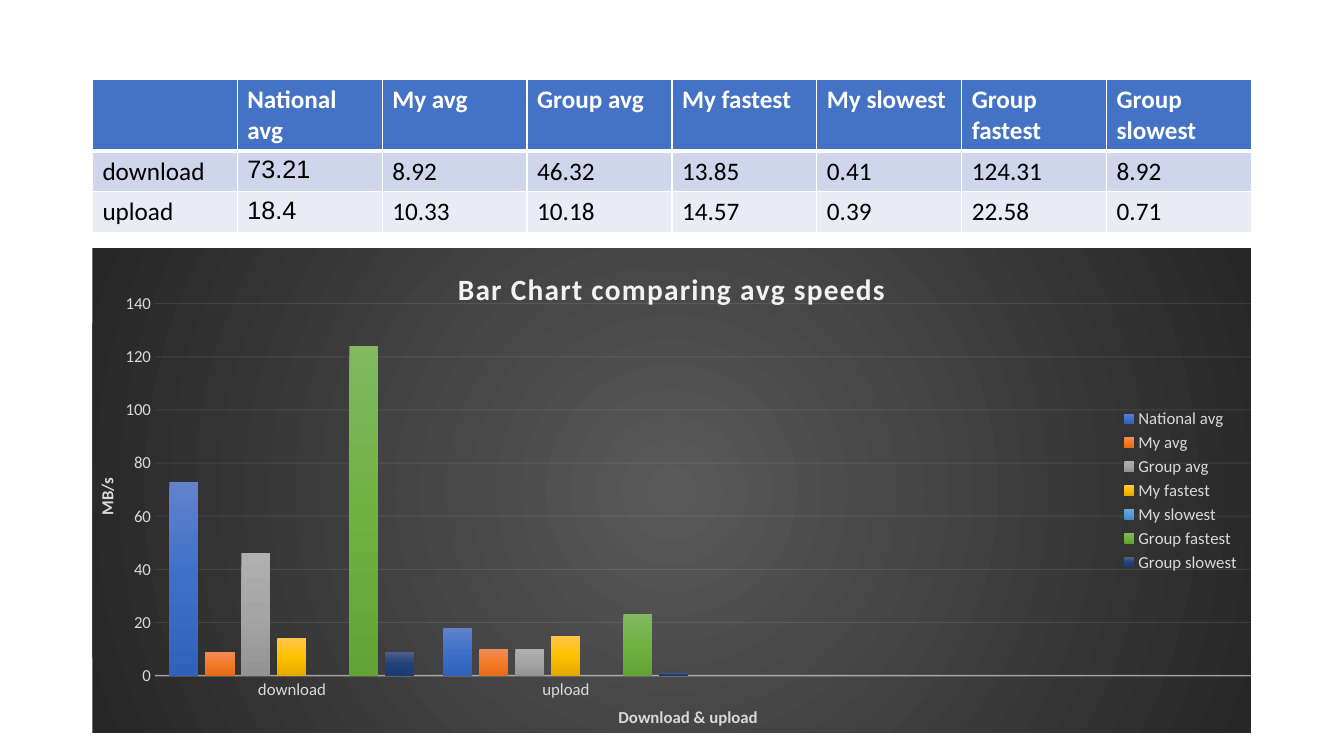
from lxml.etree import SubElement as Sub
from pptx import Presentation
from pptx.chart.data import CategoryChartData as Data
from pptx.dml.color import RGBColor
from pptx.enum.chart import XL_CHART_TYPE as Kind, XL_LEGEND_POSITION as Place, XL_TICK_MARK as Tick
from pptx.oxml import parse_xml
from pptx.oxml.ns import nsdecls, qn
from pptx.util import Cm, Pt


def paint(font, size, tint, bold=False, face="Calibri"):
    font.name, font.size, font.bold = face, Pt(size), bold
    font.color.rgb = RGBColor.from_string(tint)


def blend(stops, end):
    marks = "".join(
        f'<a:gs pos="{100000 * i // (len(stops) - 1)}"><a:srgbClr val="{tint}"/></a:gs>'
        for i, tint in enumerate(stops))
    return parse_xml(f'<a:gradFill {nsdecls("a")} rotWithShape="1"><a:gsLst>{marks}</a:gsLst>{end}</a:gradFill>')


heads = ["National avg", "My avg", "Group avg", "My fastest", "My slowest", "Group fastest", "Group slowest"]
speeds = {
    "download": [73.21, 8.92, 46.32, 13.85, 0.41, 124.31, 8.92],
    "upload": [18.4, 10.33, 10.18, 14.57, 0.39, 22.58, 0.71],
}
hues = [
    ("6183CB", "3E70CA", "3062BB"),
    ("F18C57", "F67B28", "E56C19"),
    ("AFAFAF", "A5A5A5", "939393"),
    ("FFC64B", "FFC000", "E3AB00"),
    ("71A6DB", "559BDB", "448ACA"),
    ("81B861", "6FB242", "62A336"),
    ("516089", "22427D", "1A3A72"),
]

deck = Presentation()
deck.slide_width, deck.slide_height = Cm(33.87), Cm(19.05)
slide = deck.slides.add_slide(deck.slide_layouts[6])
left, width = Cm(2.33), Cm(29.21)

rows = [["", *heads]] + [[name, *map(str, vals)] for name, vals in speeds.items()]
table = slide.shapes.add_table(3, 8, left, Cm(2), width, Cm(3.81)).table
fills = ["4472C4", "CFD5EA", "E9EBF5"]
for r, row in enumerate(rows):
    table.rows[r].height = Cm(1.03 if r else 1.75)
    for c, text in enumerate(row):
        cell = table.cell(r, c)
        props = cell._tc.get_or_add_tcPr()
        for side in "LRTB":
            thick = (r, side) in ((0, "B"), (1, "T"))
            edge = Sub(props, qn(f"a:ln{side}"), w=str(Pt(3 if thick else 1)))
            Sub(Sub(edge, qn("a:solidFill")), qn("a:srgbClr"), val="FFFFFF")
        cell.fill.solid()
        cell.fill.fore_color.rgb = RGBColor.from_string(fills[r])
        if text:
            run = cell.text_frame.paragraphs[0].add_run()
            run.text = text
            face = "Arial" if r and c == 1 else "Calibri"
            paint(run.font, 18, "000000" if r else "FFFFFF", not r, face)

data = Data()
data.categories = [*speeds, "", ""]
for name, down, up in zip(heads, *speeds.values()):
    data.add_series(name, [round(down), round(up), None, None])
chart = slide.shapes.add_chart(Kind.COLUMN_CLUSTERED, left, Cm(6.25), width, Cm(12.22), data).chart
paint(chart.font, 12, "D9D9D9")

back = parse_xml(f'<c:spPr {nsdecls("c", "a")}><a:ln><a:noFill/></a:ln></c:spPr>')
back.insert(0, blend(
    ("595959", "262626"),
    '<a:path path="circle"><a:fillToRect l="50000" t="50000" r="50000" b="50000"/></a:path>'))
chart.element.find(qn("c:txPr")).addprevious(back)

area = chart.element.find(f".//{qn('c:plotArea')}")
for old in area.findall(qn("c:layout")):
    area.remove(old)
spot = parse_xml(f'<c:layout {nsdecls("c")}><c:manualLayout/></c:layout>')
area.insert(0, spot)
for tag, val in (("layoutTarget", "inner"), ("xMode", "edge"), ("yMode", "edge"),
                 ("x", "0.054"), ("y", "0.115"), ("w", "0.946"), ("h", "0.767")):
    Sub(spot[0], qn(f"c:{tag}"), val=val)

plot = chart.plots[0]
plot.gap_width, plot.overlap, plot.vary_by_categories = 100, -24, False
for bar, stops in zip(plot.series, hues):
    bar.format.fill.background()
    props = bar.format.element.find(qn("c:spPr"))
    props.replace(props[0], blend(stops, '<a:lin ang="5400000" scaled="0"/>'))

cat, val = chart.category_axis, chart.value_axis
val.minimum_scale, val.maximum_scale, val.major_unit = 0, 140, 20
for axis in (cat, val):
    axis.major_tick_mark = axis.minor_tick_mark = Tick.NONE
    paint(axis.tick_labels.font, 12, "D9D9D9")
val.format.line.fill.background()
for form, size, alpha in ((cat.format, 1, 54000), (val.major_gridlines.format, 0.75, 10000)):
    form.line.width = Pt(size)
    form.line.color.rgb = RGBColor.from_string("F2F2F2")
    tint = form.element.find(f"{qn('c:spPr')}//{qn('a:srgbClr')}")
    Sub(tint, qn("a:alpha"), val=str(alpha))

for frame, text, size, tint in (
        (chart.chart_title.text_frame, "Bar Chart comparing avg speeds", 21, "F2F2F2"),
        (cat.axis_title.text_frame, "Download & upload", 12, "D9D9D9"),
        (val.axis_title.text_frame, "MB/s", 12, "D9D9D9")):
    run = frame.paragraphs[0].add_run()
    run.text = text
    paint(run.font, size, tint, True)
    if size == 21:
        run.font._element.set("spc", "90")

chart.has_legend = True
chart.legend.position = Place.RIGHT
chart.legend.include_in_layout = False
paint(chart.legend.font, 12, "D9D9D9")

deck.save("out.pptx")
